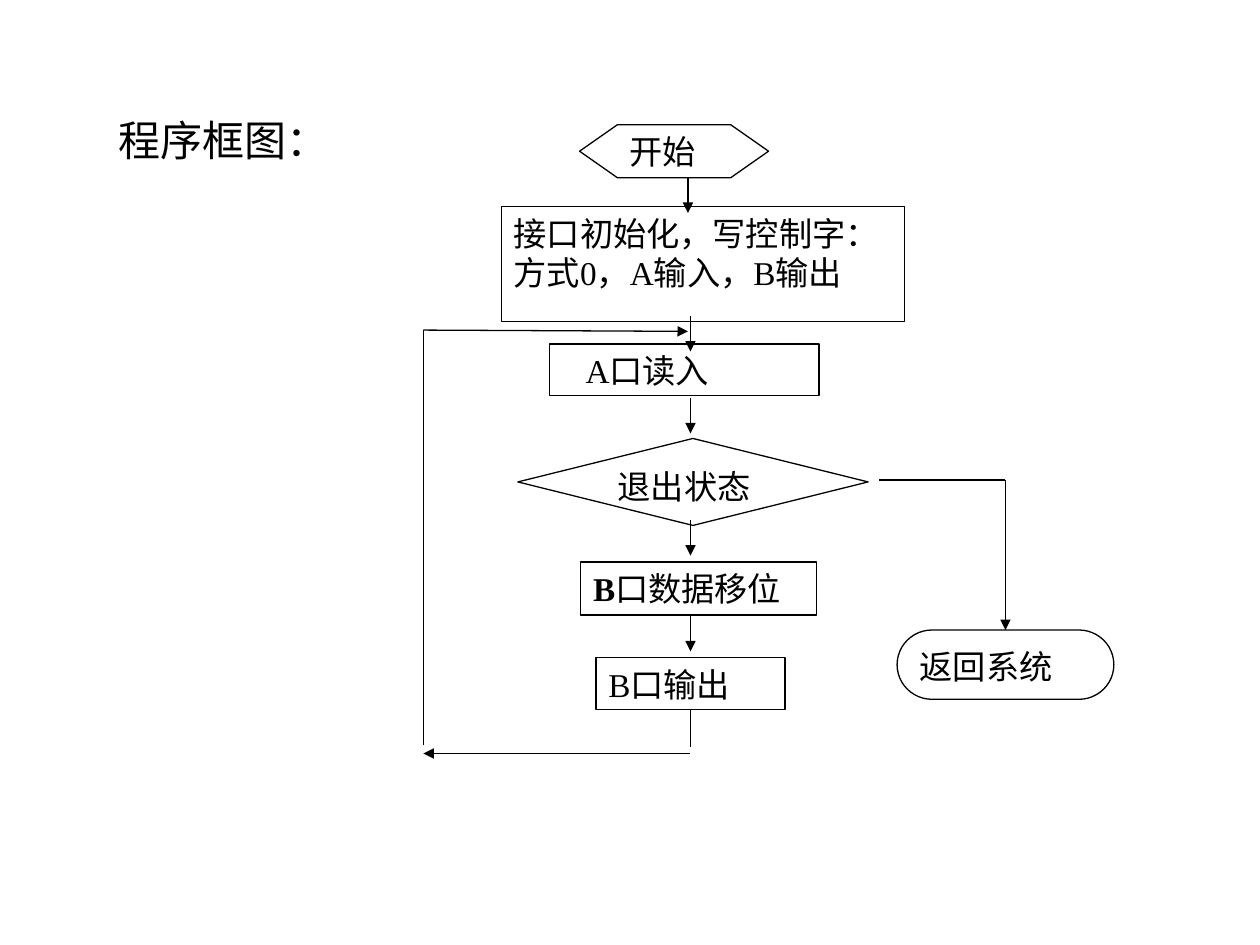
import pptx
import pptx.util
import pptx.dml.color
import pptx.enum.shapes
import pptx.enum.text
import pptx.oxml
import pptx.oxml.ns

Inches = pptx.util.Inches
Pt = pptx.util.Pt
Kind = pptx.enum.shapes.MSO_SHAPE
Align = pptx.enum.text.PP_ALIGN
Anchor = pptx.enum.text.MSO_ANCHOR

THEME = {
    "ink": pptx.dml.color.RGBColor(0, 0, 0),
    "paper": pptx.dml.color.RGBColor(255, 255, 255),
    "line": Pt(0.75),
    "title": {"name": "Noto Sans CJK SC", "size": Pt(24)},
    "step": {"name": "Times New Roman", "size": Pt(19)},
}
FRAME = {
    "margin_left": Inches(0.1),
    "margin_right": Inches(0.1),
    "margin_top": Inches(0.05),
    "margin_bottom": Inches(0.05),
    "vertical_anchor": Anchor.TOP,
}

TITLE = ("程序框图：", (0.84, 0.86, 1.86, 0.5))
PROCESS = Kind.FLOWCHART_PROCESS
STEPS = {
    "shift": (PROCESS, (4.61, 4.46, 1.87, 0.42), [[("B", True), ("口数据移位", False)]], 0),
    "output": (PROCESS, (4.73, 5.22, 1.5, 0.41), [[("B口输出", False)]], 0),
    "setup": (PROCESS, (3.98, 1.64, 3.2, 0.91),
              [[("接口初始化，写控制字：", False)], [("方式0，A输入，B输出", False)]], 0),
    "read": (PROCESS, (4.36, 2.73, 2.14, 0.41), [[("A口读入", False)]], 0.19),
    "start": (Kind.FLOWCHART_PREPARATION, (4.6, 0.99, 1.5, 0.42), [[("开始", False)]], 0),
    "decision": (Kind.FLOWCHART_DECISION, (4.11, 3.48, 2.78, 0.69), [[("退出状态", False)]], 0),
    "finish": (Kind.FLOWCHART_TERMINATOR, (7.12, 5, 1.72, 0.55), [[("返回系统", False)]], 0),
}

SPINE, LOOP, EXIT = 5.48, 3.36, 7.98
DROP = 0.28
FLOW_TOPS = [2.51, 3.16, 4.13, 4.89]
LINES = [
    ((5.46, 1.41), (5.46, 1.41 + DROP), True, None, None),
    *[((SPINE, top), (SPINE, top + DROP), True, None, None) for top in FLOW_TOPS],
    ((LOOP, 5.91), (LOOP, 2.62), False, None, None),
    ((LOOP, 2.62), (5.46, 2.63), True, None, None),
    ((SPINE, 5.98), (LOOP, 5.98), True, None, None),
    ((SPINE, 5.65), (SPINE, 5.65 + DROP), False, ("output", 2), None),
    ((6.98, 3.81), (EXIT, 3.81), False, None, None),
    ((EXIT, 3.81), (EXIT, 5), True, None, ("finish", 0)),
]


def apply(target, values):
    for name, value in values.items():
        setattr(target, name, value)


def write(box, paragraphs, font, alignment, indent=0):
    apply(box.text_frame, FRAME)
    for index, spans in enumerate(paragraphs):
        para = box.text_frame.paragraphs[0] if index == 0 else box.text_frame.add_paragraph()
        para.alignment = alignment
        if indent:
            para._p.get_or_add_pPr().set("marL", str(Inches(indent)))
        for text, bold in spans:
            span = para.add_run()
            span.text = text
            apply(span.font, {**font, "bold": bold})
            span.font.color.rgb = THEME["ink"]


def outline(line):
    line.color.rgb = THEME["ink"]
    line.width = THEME["line"]


def add_step(page, kind, place, paragraphs, indent):
    box = page.shapes.add_shape(kind, *map(Inches, place))
    box.shadow.inherit = False
    box.fill.solid()
    box.fill.fore_color.rgb = THEME["paper"]
    outline(box.line)
    box.text_frame.word_wrap = True
    write(box, paragraphs, THEME["step"], Align.JUSTIFY, indent)
    return box


def add_line(page, boxes, start, end, arrow, source, target):
    link = page.shapes.add_connector(
        pptx.enum.shapes.MSO_CONNECTOR.STRAIGHT, *map(Inches, start + end))
    outline(link.line)
    if source:
        link.begin_connect(boxes[source[0]], source[1])
    if target:
        link.end_connect(boxes[target[0]], target[1])
    if arrow:
        head = pptx.oxml.parse_xml("<a:tailEnd %s type='triangle'/>" % pptx.oxml.ns.nsdecls("a"))
        link.line._get_or_add_ln().append(head)
    effects = pptx.oxml.parse_xml("<a:effectLst %s/>" % pptx.oxml.ns.nsdecls("a"))
    link._element.spPr.append(effects)


def main():
    deck = pptx.Presentation()
    apply(deck, {"slide_width": Inches(10), "slide_height": Inches(7.5)})
    page = deck.slides.add_slide(deck.slide_layouts[6])
    text, place = TITLE
    title = page.shapes.add_textbox(*map(Inches, place))
    title.text_frame.word_wrap = False
    write(title, [[(text, False)]], THEME["title"], Align.LEFT)
    boxes = {name: add_step(page, *step) for name, step in STEPS.items()}
    for line in LINES:
        add_line(page, boxes, *line)
    deck.save("out.pptx")


if __name__ == "__main__":
    main()
